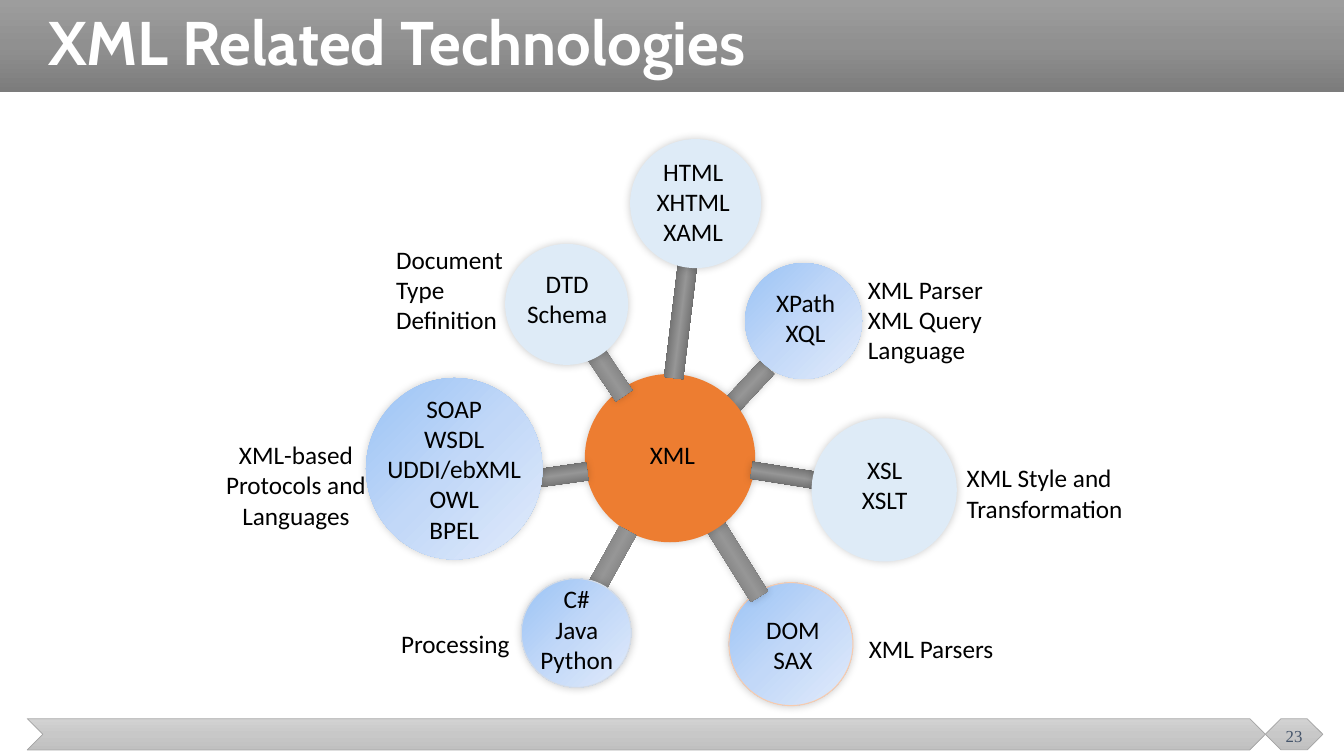
"""Build the slide that shows XML at the hub of its related technologies."""
from copy import deepcopy
from lxml import etree
from pptx import Presentation, util as u
from pptx.dml.color import RGBColor
from pptx.enum import shapes, text
from pptx.oxml.ns import qn

COLORS = {
    "header": ("9D9D9D", "909090", "7C7C7C"),
    "footer": ("D2D2D2", "C8C8C8", "C0C0C0"),
    "spoke": ("454545", "969696", "454545"),
    "blue": ("9AC3F5", "C2D8F8", "E1EBFB"),
    "pale": "DEEBF7", "hub": "ED7D31", "edge": "A5A5A5",
    "peach": "F8CBAD", "mist": "D6DCE5",
    "black": "000000", "white": "FFFFFF", "slate": "44546A",
}
KIND = shapes.MSO_SHAPE
LEFT, CENTER = text.PP_ALIGN.LEFT, text.PP_ALIGN.CENTER
TOP, MIDDLE = text.MSO_ANCHOR.TOP, text.MSO_ANCHOR.MIDDLE

deck = Presentation()
deck.slide_width, deck.slide_height = u.Inches(13.33), u.Inches(7.5)
slide = deck.slides.add_slide(deck.slide_layouts[6])
COLUMN, ROW = deck.slide_width / 1333, deck.slide_height / 750


def draw(kind, cells, fill, angle=90, edge=None, turn=0, glow=True):
    left, top, width, height = cells
    part = slide.shapes.add_shape(kind, round(left * COLUMN), round(top * ROW),
                                  round(width * COLUMN), round(height * ROW))
    part.rotation = turn
    part.shadow.inherit = False
    tones = COLORS[fill]
    if isinstance(tones, str):
        part.fill.solid()
        part.fill.fore_color.rgb = RGBColor.from_string(tones)
    else:
        part.fill.gradient()
        part.fill.gradient_angle = 360 - angle
        stops = part.element.spPr.find(qn("a:gradFill")).find(qn("a:gsLst"))
        stops.insert(1, deepcopy(stops[0]))
        for stop, tone, share in zip(part.fill.gradient_stops, tones, (0, 0.5, 1)):
            stop.color.rgb = RGBColor.from_string(tone)
            stop.position = share
    if edge:
        part.line.color.rgb = RGBColor.from_string(COLORS[edge])
        part.line.width = u.Pt(0.5 if edge == "edge" else 0.75)
    else:
        part.line.fill.background()
    if glow:
        effects = part.element.spPr.find(qn("a:effectLst"))
        shade = etree.SubElement(effects, qn("a:outerShdw"), blurRad=str(u.Pt(6)),
                                 dist="0", dir="18900000", rotWithShape="0")
        tint = etree.SubElement(shade, qn("a:srgbClr"), val=COLORS["black"])
        etree.SubElement(tint, qn("a:alpha"), val="20000")
    return part


def write(words, cells, align=CENTER, anchor=TOP, color="black", spacing=None, **font):
    left, top, width, height = cells
    frame = slide.shapes.add_textbox(round(left * COLUMN), round(top * ROW),
                                     round(width * COLUMN), round(height * ROW)).text_frame
    frame.word_wrap = True
    frame.vertical_anchor = anchor
    frame.text = words
    for line in frame.paragraphs:
        line.alignment = align
        line.line_spacing = spacing
        for name, value in ({"name": "Calibri", "size": u.Pt(18)} | font).items():
            setattr(line.font, name, value)
        line.font.color.rgb = RGBColor.from_string(COLORS[color])


draw(KIND.RECTANGLE, (0, 0, 1333, 91), "header", glow=False)
draw(KIND.CHEVRON, (27, 713, 1228, 31), "footer", edge="edge", glow=False)
page_badge = draw(KIND.HEXAGON, (1255, 713, 57, 31), "footer", edge="edge", glow=False)
page_badge.adjustments[0] = 0.5
write("23", (1255, 710, 57, 40), anchor=MIDDLE, color="slate",
      name="Times New Roman", size=u.Pt(12))
write("XML Related Technologies", (38, 0, 1274, 91), LEFT, MIDDLE, "white", 0.9,
      name="Cabin", size=u.Pt(44), bold=True)

draw(KIND.OVAL, (723, 578, 123, 122), "blue", 45, "peach")
spokes_behind = [((708, 378, 63, 19), 313, True), ((676, 539, 101, 20), 238, True)]
spokes_in_front = [
    ((552, 347, 86, 20), 236, True),
    ((538, 567, 114, 19), 119, False),
    ((745, 464, 77, 17), 9, True),
    ((477, 466, 106, 18), 352, True),
    ((618, 309, 114, 19), 97, False),
]
for cells, turn, glow in spokes_behind:
    draw(KIND.RECTANGLE, cells, "spoke", turn=turn, glow=glow)
draw(KIND.OVAL, (580, 371, 169, 167), "hub")
for cells, turn, glow in spokes_in_front:
    draw(KIND.RECTANGLE, cells, "spoke", turn=turn, glow=glow)

satellites = [
    ((739, 261, 116, 115), "blue", None),
    ((501, 242, 122, 120), "pale", None),
    ((805, 415, 144, 142), "pale", None),
    ((363, 375, 175, 180), "blue", None),
    ((517, 574, 109, 108), "blue", "mist"),
    ((625, 138, 130, 128), "pale", None),
]
for cells, fill, edge in satellites:
    draw(KIND.OVAL, cells, fill, 45, edge)

labels = [
    ("XML", (619, 431, 96, 40), CENTER),
    ("XPath\nXQL", (747, 280, 104, 71), CENTER),
    ("DTD\nSchema", (500, 261, 125, 71), CENTER),
    ("DOM\nSAX", (718, 604, 137, 71), CENTER),
    ("XSL\nXSLT", (811, 446, 133, 71), CENTER),
    ("SOAP\nWSDL\nUDDI/ebXML\nOWL\nBPEL", (363, 385, 175, 162), CENTER),
    ("C#\nJava\vPython", (518, 574, 108, 101), CENTER),
    ("HTML\nXHTML\nXAML", (625, 150, 125, 101), CENTER),
    ("XML Style and\nTransformation", (949, 454, 176, 71), LEFT),
    ("Document\nType Definition", (383, 237, 138, 101), LEFT),
    ("XML Parser\nXML Query\nLanguage", (851, 267, 170, 101), LEFT),
    ("XML Parsers", (826, 623, 195, 40), CENTER),
    ("XML-based\nProtocols and Languages", (196, 431, 195, 101), CENTER),
    ("Processing", (354, 618, 195, 40), CENTER),
]
for words, cells, align in labels:
    write(words, cells, align)

deck.save("out.pptx")
